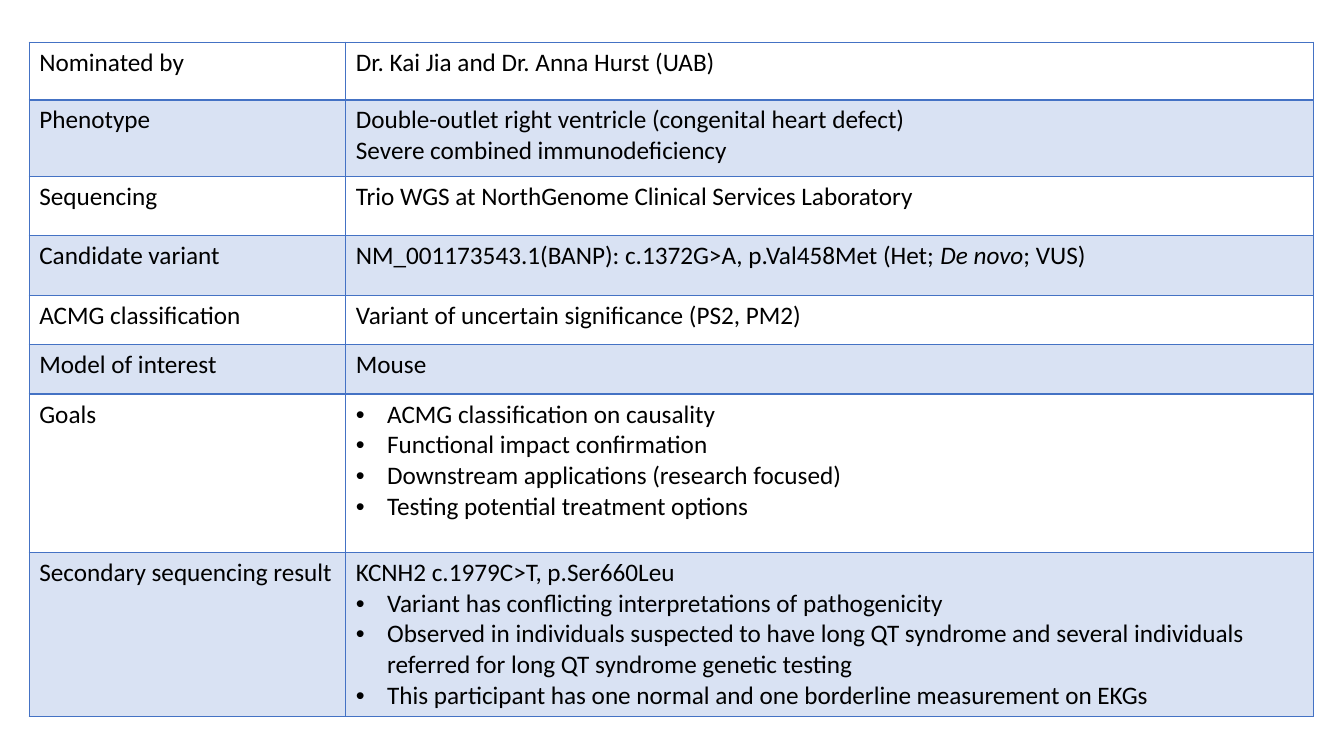
from dataclasses import dataclass
from itertools import product
from lxml.etree import SubElement
from pptx import Presentation
from pptx.dml.color import RGBColor
from pptx.oxml.ns import qn
from pptx.util import Inches, Pt


@dataclass(frozen=True)
class Theme:
    font: str = "Calibri"
    text: RGBColor = RGBColor(0, 0, 0)
    accent: RGBColor = RGBColor(0x44, 0x72, 0xC4)
    band_alpha: int = 20000
    size: Pt = Pt(18)
    thin: Pt = Pt(1)
    thick: Pt = Pt(2)
    indent: Inches = Inches(0.31)


@dataclass(frozen=True)
class Line:
    spans: tuple
    bullet: bool = False


def plain(text):
    return Line(((text, {}),))


def bullets(*texts):
    return [Line(((text, {}),), True) for text in texts]


COLUMNS = (3.14, 9.6)
CASE_ROWS = (
    (0.57, "Nominated by", [plain("Dr. Kai Jia and Dr. Anna Hurst (UAB)")]),
    (0.76, "Phenotype", [
        plain("Double-outlet right ventricle (congenital heart defect)"),
        plain("Severe combined immunodeficiency"),
    ]),
    (0.59, "Sequencing", [plain("Trio WGS at NorthGenome Clinical Services Laboratory")]),
    (0.59, "Candidate variant", [Line((
        ("NM_001173543.1(BANP): c.1372G>A, p.Val458Met (Het; ", {}),
        ("De novo", {"italic": True}),
        ("; VUS)", {}),
    ))]),
    (0.49, "ACMG classification", [plain("Variant of uncertain significance (PS2, PM2)")]),
    (0.49, "Model of interest", [plain("Mouse")]),
    (1.57, "Goals", bullets(
        "ACMG classification on causality",
        "Functional impact confirmation",
        "Downstream applications (research focused)",
        "Testing potential treatment options",
    )),
    (1.63, "Secondary sequencing result", [
        plain("KCNH2 c.1979C>T, p.Ser660Leu"),
        *bullets(
            "Variant has conflicting interpretations of pathogenicity",
            "Observed in individuals suspected to have long QT syndrome and several "
            "individuals referred for long QT syndrome genetic testing",
            "This participant has one normal and one borderline measurement on EKGs",
        ),
    ]),
)


class SlideBuilder:
    def __init__(self, slide, theme):
        self.slide = slide
        self.theme = theme

    def table(self, left, top, columns, rows):
        height = sum(row[0] for row in rows)
        frame = self.slide.shapes.add_table(
            len(rows), len(columns), Inches(left), Inches(top),
            Inches(sum(columns)), Inches(height))
        table = frame.table
        for name, value in {"first_row": False, "horz_banding": False}.items():
            setattr(table, name, value)
        for column, width in zip(table.columns, columns):
            column.width = Inches(width)
        for row, (row_height, _, _) in zip(table.rows, rows):
            row.height = Inches(row_height)
        for index, side in product(range(len(rows)), range(len(columns))):
            _, label, details = rows[index]
            cell = table.cell(index, side)
            self.borders(cell, index)
            self.band(cell, index % 2 == 1)
            self.text(cell.text_frame, details if side else [plain(label)])

    def borders(self, cell, index):
        widths = {
            "a:lnL": self.theme.thin,
            "a:lnR": self.theme.thin,
            "a:lnT": self.theme.thick if index == 1 else self.theme.thin,
            "a:lnB": self.theme.thick if index == 0 else self.theme.thin,
        }
        properties = cell._tc.get_or_add_tcPr()
        for tag, width in widths.items():
            edge = SubElement(properties, qn(tag), w=str(int(width)))
            fill = SubElement(edge, qn("a:solidFill"))
            SubElement(fill, qn("a:srgbClr"), val=str(self.theme.accent))

    def band(self, cell, shaded):
        if not shaded:
            cell.fill.background()
            return
        cell.fill.solid()
        cell.fill.fore_color.rgb = self.theme.accent
        color = cell._tc.tcPr.find(qn("a:solidFill")).find(qn("a:srgbClr"))
        SubElement(color, qn("a:alpha"), val=str(self.theme.band_alpha))

    def text(self, frame, lines):
        for index, line in enumerate(lines):
            para = frame.add_paragraph() if index else frame.paragraphs[0]
            if line.bullet:
                self.bullet(para)
            for content, extra in line.spans:
                span = para.add_run()
                span.text = content
                style = {"name": self.theme.font, "size": self.theme.size, **extra}
                for name, value in style.items():
                    setattr(span.font, name, value)
                span.font.color.rgb = self.theme.text

    def bullet(self, para):
        properties = para._p.get_or_add_pPr()
        indent = int(self.theme.indent)
        for name, value in {"marL": indent, "indent": -indent}.items():
            properties.set(name, str(value))
        SubElement(properties, qn("a:buFont"), typeface="Arial")
        SubElement(properties, qn("a:buChar"), char="•")


def main():
    deck = Presentation()
    for name, value in {"slide_width": 13.33, "slide_height": 7.5}.items():
        setattr(deck, name, Inches(value))
    page = deck.slides.add_slide(deck.slide_layouts[6])
    SlideBuilder(page, Theme()).table(0.29, 0.42, COLUMNS, CASE_ROWS)
    deck.save("out.pptx")


if __name__ == "__main__":
    main()
